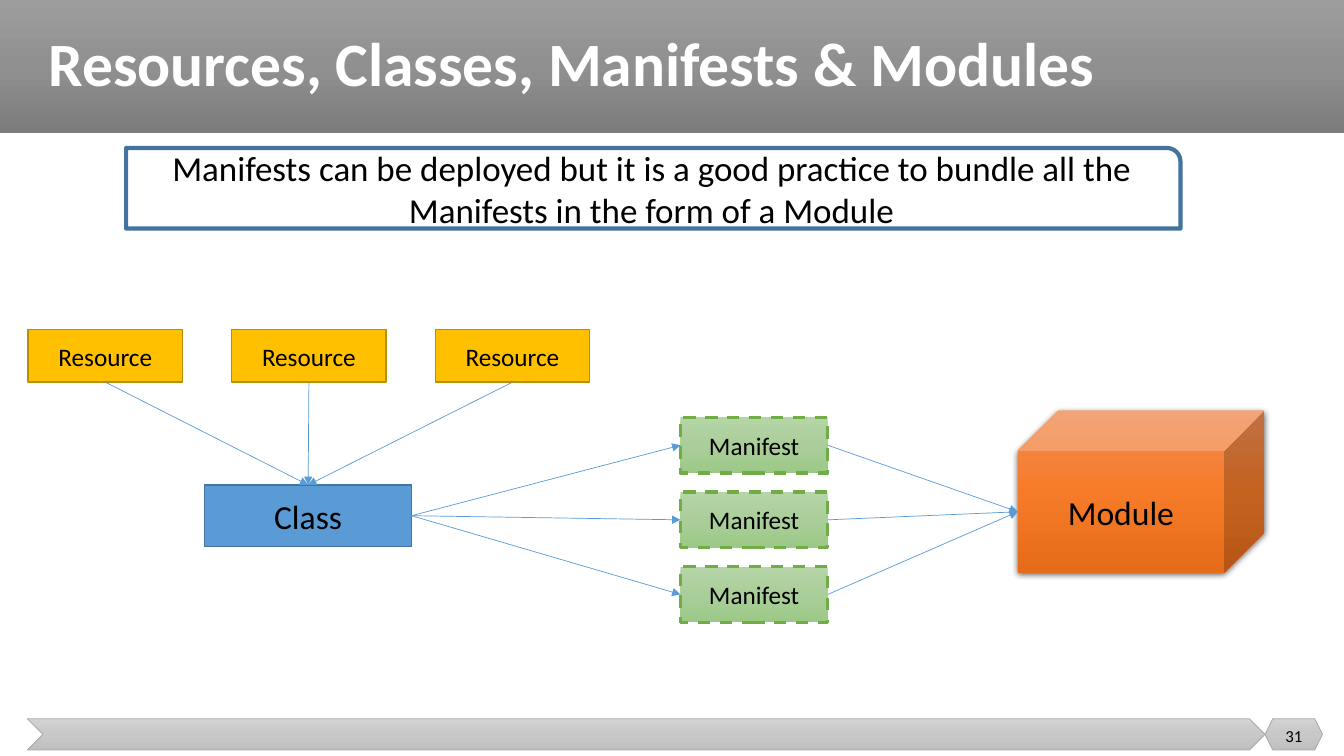
from lxml import etree
from pptx import Presentation
from pptx import util as u
from pptx.dml.color import RGBColor
from pptx.enum import dml, shapes, text
from pptx.oxml import ns

# Content
TITLE = "Resources, Classes, Manifests & Modules"
MESSAGE = ("Manifests can be deployed but it is a good practice to bundle all the "
           "Manifests in the form of a Module")
PAGE_NUMBER = "31"
RESOURCES = ["Resource", "Resource", "Resource"]
CLASS_NAME = "Class"
MANIFESTS = ["Manifest", "Manifest", "Manifest"]
MODULE = "Module"

FONT = "Calibri"
COLORS = {
    "white": "FFFFFF", "black": "000000", "frame": "43739E", "class": "5B9BD5",
    "resource": "FFC000", "resource line": "BD8E00", "manifest line": "70AD47",
    "footer line": "A5A5A5",
}
GRADIENTS = {
    "header": ("9D9D9D", "909090", "7C7C7C"),
    "footer": ("D2D2D2", "C8C8C8", "C0C0C0"),
    "manifest": ("B5D5A7", "AACE9A", "9CC987"),
    "module": ("F18C57", "F67B28", "E56C19"),
}

# Layout in centimetres
WIDTH, HEIGHT = 33.87, 19.05
HEADER_HEIGHT = 3.35
RESOURCE_BOX, RESOURCE_STEP = (0.71, 8.31, 3.89, 1.32), 5.13
MANIFEST_BOX, MANIFEST_STEP = (17.15, 10.52, 3.71, 1.4), 1.88
CLASS_BOX = (5.16, 12.22, 5.21, 1.55)
MODULE_BOX = (25.65, 10.34, 6.22, 4.09)
CUBE_DEPTH = 0.25
TOP, LEFT, BOTTOM, RIGHT = range(4)  # connection sites of a rectangle
CUBE_LEFT = 2

presentation = Presentation()
presentation.slide_width, presentation.slide_height = u.Cm(WIDTH), u.Cm(HEIGHT)
slide = presentation.slides.add_slide(presentation.slide_layouts[6])
KIND = shapes.MSO_SHAPE


def rgb(name):
    return RGBColor.from_string(COLORS[name])


def write(shape, words, size, color="black", align=text.PP_ALIGN.CENTER):
    frame = shape.text_frame
    frame.word_wrap = True
    frame.vertical_anchor = text.MSO_ANCHOR.MIDDLE
    frame.text = words
    paragraph = frame.paragraphs[0]
    paragraph.alignment = align
    font = paragraph.runs[0].font
    font.name, font.size, font.color.rgb = FONT, u.Pt(size), rgb(color)
    return paragraph


def add_text(box, *args, **options):
    shape = slide.shapes.add_textbox(*map(u.Cm, box))
    return write(shape, *args, **options)


def fill_gradient(shape, stops):
    shape.fill.gradient()
    shape.fill.gradient_angle = 270
    stop_list = shape._element.spPr.find(".//" + ns.qn("a:gsLst"))
    for old_stop in list(stop_list):
        stop_list.remove(old_stop)
    for index, color in enumerate(stops):
        stop = etree.SubElement(stop_list, ns.qn("a:gs"), pos=str(index * 50000))
        etree.SubElement(stop, ns.qn("a:srgbClr"), val=color)


def add_box(kind, box, fill=None, gradient=None, line=None, line_width=1,
            words=None, size=18):
    shape = slide.shapes.add_shape(kind, *map(u.Cm, box))
    shape.shadow.inherit = False
    if gradient:
        fill_gradient(shape, GRADIENTS[gradient])
    elif fill:
        shape.fill.solid()
        shape.fill.fore_color.rgb = rgb(fill)
    else:
        shape.fill.background()
    if line:
        shape.line.color.rgb, shape.line.width = rgb(line), u.Pt(line_width)
    else:
        shape.line.fill.background()
    if words:
        write(shape, words, size)
    return shape


def add_shadow(shape):
    effects = shape._element.spPr.find(ns.qn("a:effectLst"))
    shadow = etree.SubElement(effects, ns.qn("a:outerShdw"), blurRad=str(u.Pt(4.5)),
                              dist=str(u.Pt(1.5)), dir="5400000",
                              algn="ctr", rotWithShape="0")
    color = etree.SubElement(shadow, ns.qn("a:srgbClr"), val=COLORS["black"])
    etree.SubElement(color, ns.qn("a:alpha"), val="63000")


def add_arrow(start, start_site, end, end_site, end_point=None):
    arrow = slide.shapes.add_connector(shapes.MSO_CONNECTOR.STRAIGHT, 0, 0, 0, 0)
    arrow.begin_connect(start, start_site)
    arrow.end_connect(end, end_site)
    if end_point:
        arrow.end_x, arrow.end_y = map(u.Cm, end_point)
    arrow.line.color.rgb, arrow.line.width = rgb("class"), u.Pt(0.5)
    properties = arrow._element.spPr
    etree.SubElement(properties.find(ns.qn("a:ln")), ns.qn("a:tailEnd"), type="triangle")
    etree.SubElement(properties, ns.qn("a:effectLst"))


# Header and footer
add_box(KIND.RECTANGLE, (0, 0, WIDTH, HEADER_HEIGHT), gradient="header")
for kind, left, width in ((KIND.CHEVRON, 0.69, 31.19), (KIND.HEXAGON, 31.88, 1.45)):
    add_box(kind, (left, 18.11, width, 0.79), gradient="footer",
            line="footer line", line_width=0.5)
title = add_text((0.97, 0, 32.36, HEADER_HEIGHT), TITLE, 44, color="white",
                 align=text.PP_ALIGN.LEFT)
title.line_spacing = 0.9
title.runs[0].font.bold = True
add_text((31.88, 18.03, 1.45, 1.02), PAGE_NUMBER, 12)

# Message
add_box(KIND.ROUND_1_RECTANGLE, (3.18, 3.73, 26.57, 2.03), line="frame",
        line_width=3, words=MESSAGE, size=25)

# Class, resources, manifests and module
class_box = add_box(KIND.RECTANGLE, CLASS_BOX, fill="class", line="frame",
                    words=CLASS_NAME, size=24)
left, top, width, height = RESOURCE_BOX
resources = [
    add_box(KIND.RECTANGLE, (left + index * RESOURCE_STEP, top, width, height),
            fill="resource", line="resource line", words=words)
    for index, words in enumerate(RESOURCES)
]
left, top, width, height = MANIFEST_BOX
manifests = [
    add_box(KIND.RECTANGLE, (left, top + index * MANIFEST_STEP, width, height),
            gradient="manifest", line="manifest line", line_width=2.25, words=words)
    for index, words in enumerate(MANIFESTS)
]
module = add_box(KIND.CUBE, MODULE_BOX, gradient="module", words=MODULE, size=24)
module.adjustments[0] = CUBE_DEPTH
add_shadow(module)

# Arrows
left, top, width, height = MODULE_BOX
module_entry = (left, top + height * (1 + CUBE_DEPTH) / 2)
for resource in resources:
    add_arrow(resource, BOTTOM, class_box, TOP)
for manifest in manifests:
    manifest.line.dash_style = dml.MSO_LINE.DASH
    add_arrow(class_box, RIGHT, manifest, LEFT)
    add_arrow(manifest, RIGHT, module, CUBE_LEFT, module_entry)

presentation.save("out.pptx")
